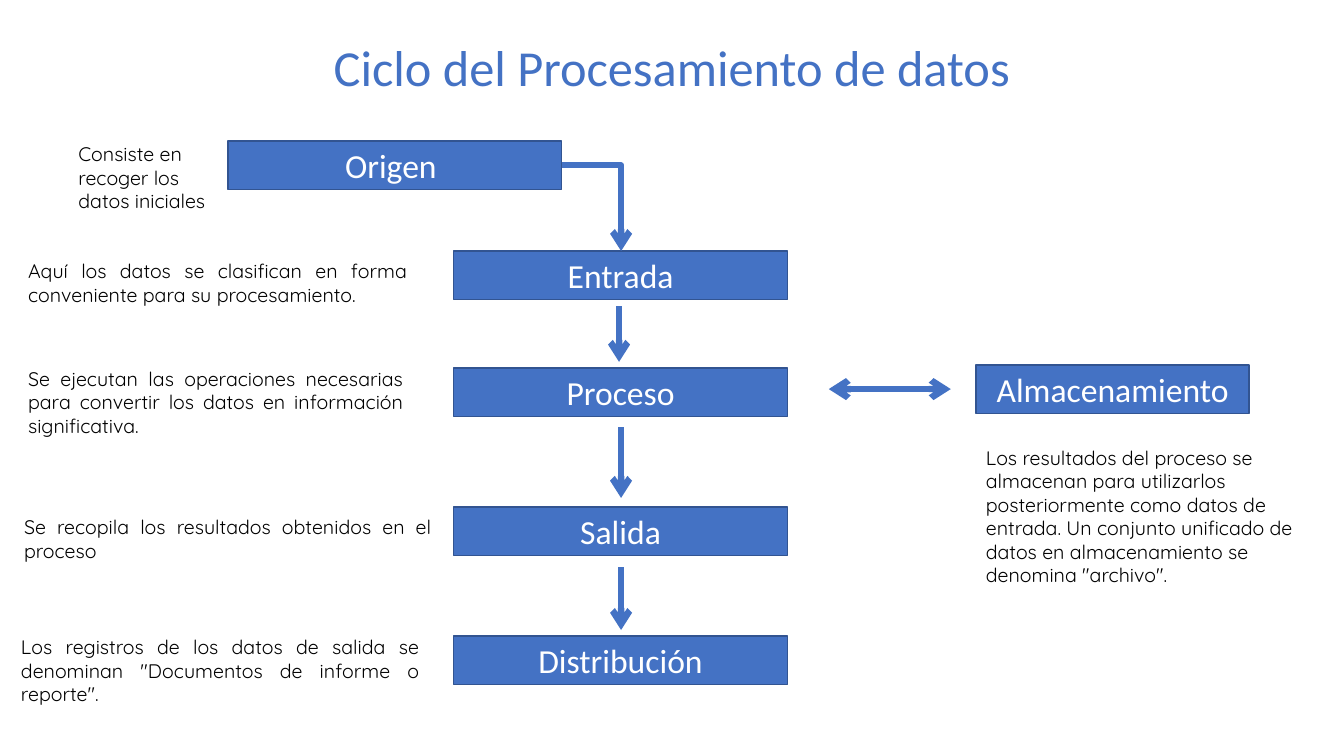
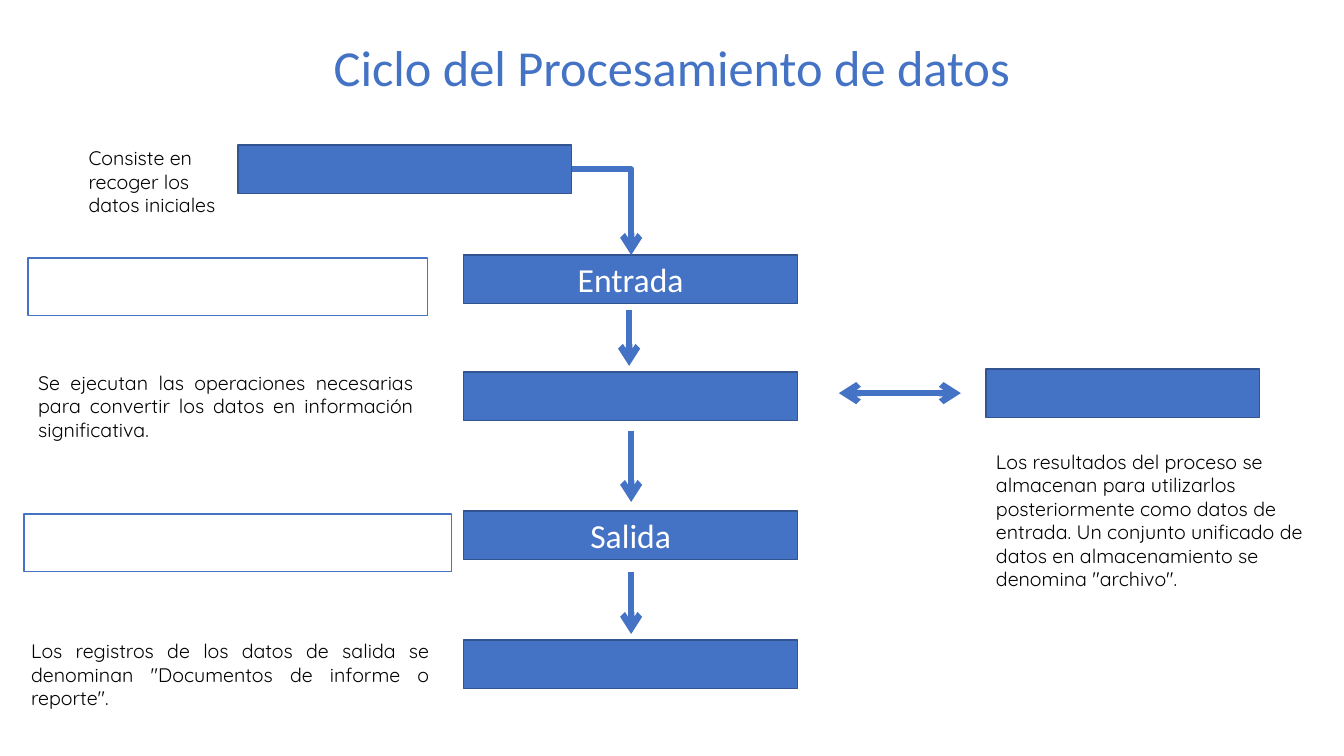
import dataclasses

import pptx
import pptx.dml.color
import pptx.enum.shapes
import pptx.enum.text
import pptx.oxml.ns
import pptx.util
import lxml.etree

Inches = pptx.util.Inches
Pt = pptx.util.Pt
ALIGN = pptx.enum.text.PP_ALIGN
CONNECTOR = pptx.enum.shapes.MSO_CONNECTOR

BLUE = pptx.dml.color.RGBColor(0x44, 0x72, 0xC4)
DARK_BLUE = pptx.dml.color.RGBColor(0x32, 0x54, 0x91)
WHITE = pptx.dml.color.RGBColor(0xFF, 0xFF, 0xFF)
BLACK = pptx.dml.color.RGBColor(0x00, 0x00, 0x00)

TITLE = "Ciclo del Procesamiento de datos"
TITLE_FONT = "Calibri"
NOTE_FONT = "Quicksand"
STAGE_HEIGHT = 0.48
STAGE_WIDTH = 3.31
COLUMN_LEFT = 4.5


@dataclasses.dataclass
class Stage:
    """A step of the cycle: label, its box, and its note with the note's box."""
    label: str
    box: tuple
    note: str
    note_box: tuple
    note_align: ALIGN = ALIGN.JUSTIFY


def column_box(top):
    """Return the box of a stage in the central column."""
    return COLUMN_LEFT, top, STAGE_WIDTH, STAGE_HEIGHT


STAGES = [
    Stage("Origen ", (2.26, 1.4, STAGE_WIDTH, STAGE_HEIGHT),
          "Consiste en recoger los datos iniciales",
          (0.68, 1.36, 1.74, 0.81), ALIGN.LEFT),
    Stage("Entrada", column_box(2.49),
          "Aquí los datos se clasifican en forma conveniente para su "
          "procesamiento.", (0.18, 2.52, 3.96, 0.57)),
    Stage("Proceso", column_box(3.65),
          "Se ejecutan las operaciones necesarias para convertir los datos "
          "en información significativa.", (0.18, 3.59, 3.92, 0.81)),
    Stage("Salida", column_box(5.03),
          "Se recopila los resultados obtenidos en el proceso",
          (0.14, 5.06, 4.24, 0.57)),
    Stage("Distribución", column_box(6.31),
          "Los registros de los datos de salida se denominan "
          "\"Documentos de informe o reporte\".", (0.11, 6.25, 4.15, 0.81)),
    Stage("Almacenamiento", (9.68, 3.62, 2.71, STAGE_HEIGHT),
          "Los resultados del proceso se almacenan para utilizarlos "
          "posteriormente como datos de entrada. Un conjunto unificado de "
          "datos en almacenamiento se denomina \"archivo\".",
          (9.68, 4.37, 3.3, 1.51), ALIGN.LEFT),
]

DOWN_ARROWS = [(6.14, 3.04, 3.59), (6.16, 4.24, 4.94), (6.16, 5.63, 6.25)]


def shifted(box, origin):
    """Return the box moved by the origin, as lengths."""
    left, top, width, height = box
    return (Inches(left + origin[0]), Inches(top + origin[1]),
            Inches(width), Inches(height))


def write(shape, text, font, size, color, align):
    """Write one paragraph of one run into a shape."""
    para = shape.text_frame.paragraphs[0]
    para.alignment = align
    span = para.add_run()
    span.text = text
    span.font.name = font
    span.font.size = Pt(size)
    span.font.color.rgb = color


def add_text(page, box, text, font, size, color, align, wrap=True):
    """Add a text box that grows with its text."""
    shape = page.shapes.add_textbox(*box)
    shape.text_frame.word_wrap = wrap
    shape.text_frame.auto_size = pptx.enum.text.MSO_AUTO_SIZE.SHAPE_TO_FIT_TEXT
    write(shape, text, font, size, color, align)


def add_box(page, box, fill, outline):
    """Add a flat rectangle and return it."""
    shape = page.shapes.add_shape(
        pptx.enum.shapes.MSO_SHAPE.RECTANGLE, *box)
    shape.shadow.inherit = False
    shape.fill.solid()
    shape.fill.fore_color.rgb = fill
    shape.line.color.rgb = outline
    shape.line.width = Pt(1)
    return shape


def add_arrow(page, origin, start, end, kind=CONNECTOR.STRAIGHT, double=False):
    """Add a thick arrow from start to end and return it."""
    points = [Inches(value + shift) for point in (start, end)
              for value, shift in zip(point, origin)]
    arrow = page.shapes.add_connector(kind, *points)
    arrow.line.color.rgb = BLUE
    arrow.line.width = Pt(4.5)
    qn = pptx.oxml.ns.qn
    properties = arrow._element.spPr
    line = properties.find(qn("a:ln"))
    for tag in ("a:headEnd", "a:tailEnd") if double else ("a:tailEnd",):
        lxml.etree.SubElement(line, qn(tag), type="arrow")
    lxml.etree.SubElement(properties, qn("a:effectLst"))
    return arrow


def add_title(page, box):
    """Add the centred slide title."""
    add_text(page, box, TITLE, TITLE_FONT, 36, BLUE, ALIGN.CENTER, wrap=False)


def add_stage(page, origin, stage, show_label, show_note):
    """Add a stage and its note; a hidden note leaves an empty answer box."""
    shape = add_box(page, shifted(stage.box, origin), BLUE, DARK_BLUE)
    if show_label:
        shape.text_frame.vertical_anchor = pptx.enum.text.MSO_ANCHOR.MIDDLE
        write(shape, stage.label, TITLE_FONT, 24, WHITE, ALIGN.CENTER)
    note_box = shifted(stage.note_box, origin)
    if show_note:
        add_text(page, note_box, stage.note, NOTE_FONT, 14, BLACK,
                 stage.note_align)
    else:
        add_box(page, note_box, WHITE, BLUE)


def add_arrows(page, origin):
    """Add the arrows that join the stages."""
    bent = add_arrow(page, origin, (5.57, 1.64), (6.16, 2.49), CONNECTOR.ELBOW)
    bent._element.spPr.find(pptx.oxml.ns.qn("a:prstGeom")).set(
        "prst", "bentConnector2")
    add_arrow(page, origin, (8.22, 3.86), (9.43, 3.86), double=True)
    for x, top, bottom in DOWN_ARROWS:
        add_arrow(page, origin, (x, top), (x, bottom))


def add_cycle_slide(deck, origin, blank_labels=(), blank_notes=()):
    """Add a slide with the cycle, leaving the given stages to fill in."""
    page = deck.slides.add_slide(deck.slide_layouts[6])
    for stage in STAGES:
        name = stage.label.strip()
        add_stage(page, origin, stage,
                  name not in blank_labels, name not in blank_notes)
    add_arrows(page, origin)
    add_title(page, shifted((3.18, 0.31, 6.97, 0.71), (0, 0)))


def main():
    """Build the solved diagram and the exercise, and save the deck."""
    deck = pptx.Presentation()
    deck.slide_width = Inches(13.33)
    deck.slide_height = Inches(7.5)
    add_cycle_slide(deck, (0, 0))
    add_cycle_slide(
        deck, (0.1, 0.04),
        blank_labels=("Origen", "Proceso", "Distribución", "Almacenamiento"),
        blank_notes=("Entrada", "Salida"))
    deck.save("out.pptx")


main()
